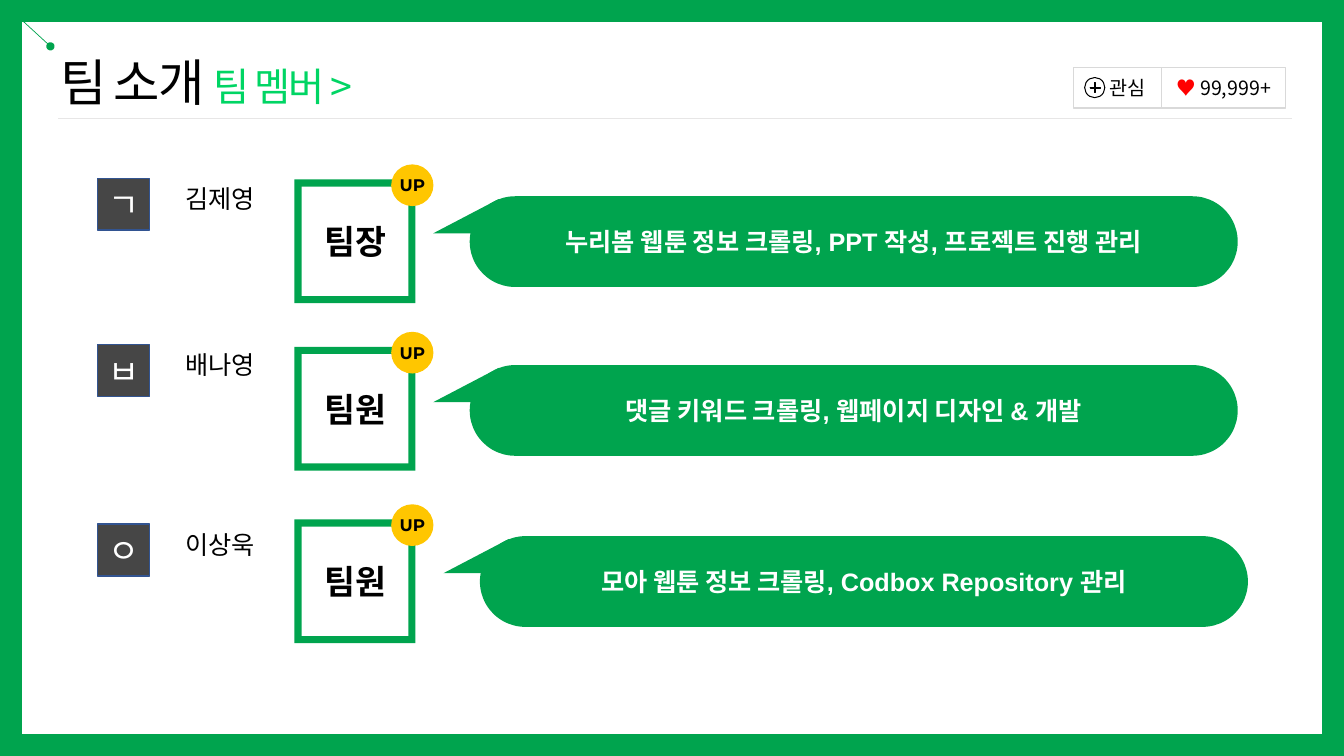
import pptx
import pptx.util
from lxml import etree
from pptx.dml.color import RGBColor
from pptx.enum.shapes import MSO_CONNECTOR, MSO_SHAPE
from pptx.enum.text import MSO_ANCHOR, MSO_AUTO_SIZE, PP_ALIGN
from pptx.oxml.ns import qn

Pt = pptx.util.Pt

GREEN = RGBColor(0x00, 0xA4, 0x4E)
BRIGHT_GREEN = RGBColor(0x00, 0xD5, 0x64)
YELLOW = RGBColor(0xFF, 0xC6, 0x00)
RED = RGBColor(0xFF, 0x00, 0x00)
BLACK = RGBColor(0x00, 0x00, 0x00)
WHITE = RGBColor(0xFF, 0xFF, 0xFF)
CHARCOAL = RGBColor(0x46, 0x46, 0x46)
NAVY = RGBColor(0x32, 0x54, 0x91)
BORDER_GRAY = RGBColor(0xD9, 0xD9, 0xD9)
RULE_GRAY = RGBColor(0xE7, 0xE6, 0xE6)

KOREAN_FONT = "Noto Sans CJK KR"
TITLE_ONLY_LAYOUT = 5

# initial, name, role, task, then tops of badge, role box and bubble, bubble left
MEMBERS = [
    ("ㄱ", "김제영", "팀장", "누리봄 웹툰 정보 크롤링, PPT 작성, 프로젝트 진행 관리",
     127.4, 128.2, 140.2, 335.5),
    ("ㅂ", "배나영", "팀원", "댓글 키워드 크롤링, 웹페이지 디자인 & 개발",
     246.2, 247.8, 260.8, 335.5),
    ("ㅇ", "이상욱", "팀원", "모아 웹툰 정보 크롤링, Codbox Repository 관리",
     374.4, 371, 383, 342.8),
]


class SlideBuilder:
    def __init__(self, slide):
        self.slide = slide

    def group(self):
        return self.slide.shapes.add_group_shape().shapes

    def put_text(self, shape, pieces, size, font=KOREAN_FONT, bold=False,
                 align=PP_ALIGN.CENTER, anchor=MSO_ANCHOR.MIDDLE):
        """Set (text, colour) pieces as the runs of one paragraph."""
        text_frame = shape.text_frame
        text_frame.vertical_anchor = anchor
        paragraph = text_frame.paragraphs[0]
        paragraph.alignment = align
        for text, color in pieces:
            run = paragraph.add_run()
            run.text = text
            run.font.size = Pt(size)
            run.font.bold = bold
            run.font.color.rgb = color
            run.font.name = font
            east_asian = etree.SubElement(run._r.get_or_add_rPr(), qn("a:ea"))
            east_asian.set("typeface", KOREAN_FONT)
        return paragraph.runs

    def shape(self, kind, left, top, width, height, fill=None, line=None,
              line_width=1, parent=None, adjustment=None):
        shapes = self.slide.shapes if parent is None else parent
        shape = shapes.add_shape(kind, Pt(left), Pt(top), Pt(width), Pt(height))
        shape.shadow.inherit = False
        if adjustment is not None:
            shape.adjustments[0] = adjustment
        if fill is None:
            shape.fill.background()
        else:
            shape.fill.solid()
            shape.fill.fore_color.rgb = fill
        if line is None:
            shape.line.fill.background()
        else:
            shape.line.color.rgb = line
            shape.line.width = Pt(line_width)
        return shape

    def line(self, start, end, color, width, tail=None):
        connector = self.slide.shapes.add_connector(
            MSO_CONNECTOR.STRAIGHT, *(Pt(value) for value in (*start, *end)))
        connector.line.color.rgb = color
        connector.line.width = Pt(width)
        properties = connector._element.spPr
        if tail:
            tail_end = etree.SubElement(properties.find(qn("a:ln")), qn("a:tailEnd"))
            tail_end.set("type", tail)
        etree.SubElement(properties, qn("a:effectLst"))

    def title(self):
        title = self.slide.shapes.title
        title.left, title.top, title.width, title.height = (
            Pt(value) for value in (36, 33.1, 251.3, 51))
        title.text_frame.word_wrap = False
        title.text_frame.auto_size = MSO_AUTO_SIZE.SHAPE_TO_FIT_TEXT
        runs = self.put_text(title, [("팀 소개 ", BLACK), ("팀 멤버 >", BRIGHT_GREEN)],
                             36, align=PP_ALIGN.LEFT, anchor=MSO_ANCHOR.TOP)
        runs[1].font.size = Pt(28)
        for run in runs:
            run._r.get_or_add_rPr().set("spc", "-150")

    def name(self, text, top):
        box = self.slide.shapes.add_textbox(Pt(125.3), Pt(top), Pt(85), Pt(29))
        box.text_frame.word_wrap = True
        self.put_text(box, [(text, BLACK)], 18, align=PP_ALIGN.LEFT,
                      anchor=MSO_ANCHOR.TOP)

    def badge(self, initial, top):
        badge = self.shape(MSO_SHAPE.RECTANGLE, 69.8, top, 37, 37, CHARCOAL, NAVY)
        self.put_text(badge, [(initial, WHITE)], 24)

    def role(self, text, top):
        group = self.group()
        self.shape(MSO_SHAPE.RECTANGLE, 210.4, top, 86.4, 88.4, GREEN, parent=group)
        inside = self.shape(MSO_SHAPE.RECTANGLE, 215.5, top + 5.2, 76.3, 78, WHITE,
                            parent=group)
        self.put_text(inside, [(text, BLACK)], 24, bold=True)
        tag = self.shape(MSO_SHAPE.OVAL, 279.4, top - 10.8, 30.2, 29.8, YELLOW,
                         parent=group)
        text_frame = tag.text_frame
        text_frame.margin_left = text_frame.margin_right = 0
        text_frame.margin_top = text_frame.margin_bottom = 0
        self.put_text(tag, [("UP", BLACK)], 12, font="Montserrat", bold=True)

    def bubble(self, text, left, top):
        group = self.group()
        body = self.shape(MSO_SHAPE.ROUNDED_RECTANGLE, left, top, 548.6, 64.8, GREEN,
                          parent=group, adjustment=0.5)
        self.put_text(body, [(text, WHITE)], 18, font="Arial", bold=True)
        pointer = self.shape(MSO_SHAPE.ISOSCELES_TRIANGLE, left - 14.9, top - 9.2,
                             24.5, 46.8, GREEN, parent=group, adjustment=0)
        pointer.rotation = 270

    def counter(self):
        """Draw the interest button with its like count."""
        group = self.group()
        self.shape(MSO_SHAPE.OVAL, 774.8, 55.4, 14.4, 14.4, line=BLACK,
                   line_width=0.75, parent=group)
        self.shape(MSO_SHAPE.CROSS, 778.4, 59, 7.2, 7.2, BLACK, BLACK, 0.25,
                   parent=group, adjustment=0.47)
        interest = self.shape(MSO_SHAPE.RECTANGLE, 766.8, 48.4, 63, 28.8,
                              line=BORDER_GRAY, parent=group)
        interest.text_frame.margin_left = Pt(21.6)
        self.put_text(interest, [("관심", BLACK)], 14)
        likes = self.shape(MSO_SHAPE.RECTANGLE, 829.8, 48.4, 88.4, 28.8,
                           line=BORDER_GRAY, parent=group)
        self.put_text(likes, [("♥ ", RED), ("99,999+", BLACK)], 14)


def main():
    presentation = pptx.Presentation()
    presentation.slide_width = Pt(960)
    presentation.slide_height = Pt(540)
    slide = presentation.slides.add_slide(presentation.slide_layouts[TITLE_ONLY_LAYOUT])
    builder = SlideBuilder(slide)

    builder.shape(MSO_SHAPE.FRAME, 0, 0, 960, 540, GREEN, adjustment=0.029)
    builder.title()
    builder.line((0, 0), (36, 33.1), GREEN, 0.5, tail="oval")
    builder.counter()
    for initial, name, role, task, top, role_top, bubble_top, bubble_left in MEMBERS:
        builder.badge(initial, top)
        builder.name(name, top)
        builder.role(role, role_top)
        builder.bubble(task, bubble_left, bubble_top)
    builder.line((41.8, 84.4), (923, 84.4), RULE_GRAY, 0.5)

    presentation.save("out.pptx")


if __name__ == "__main__":
    main()
